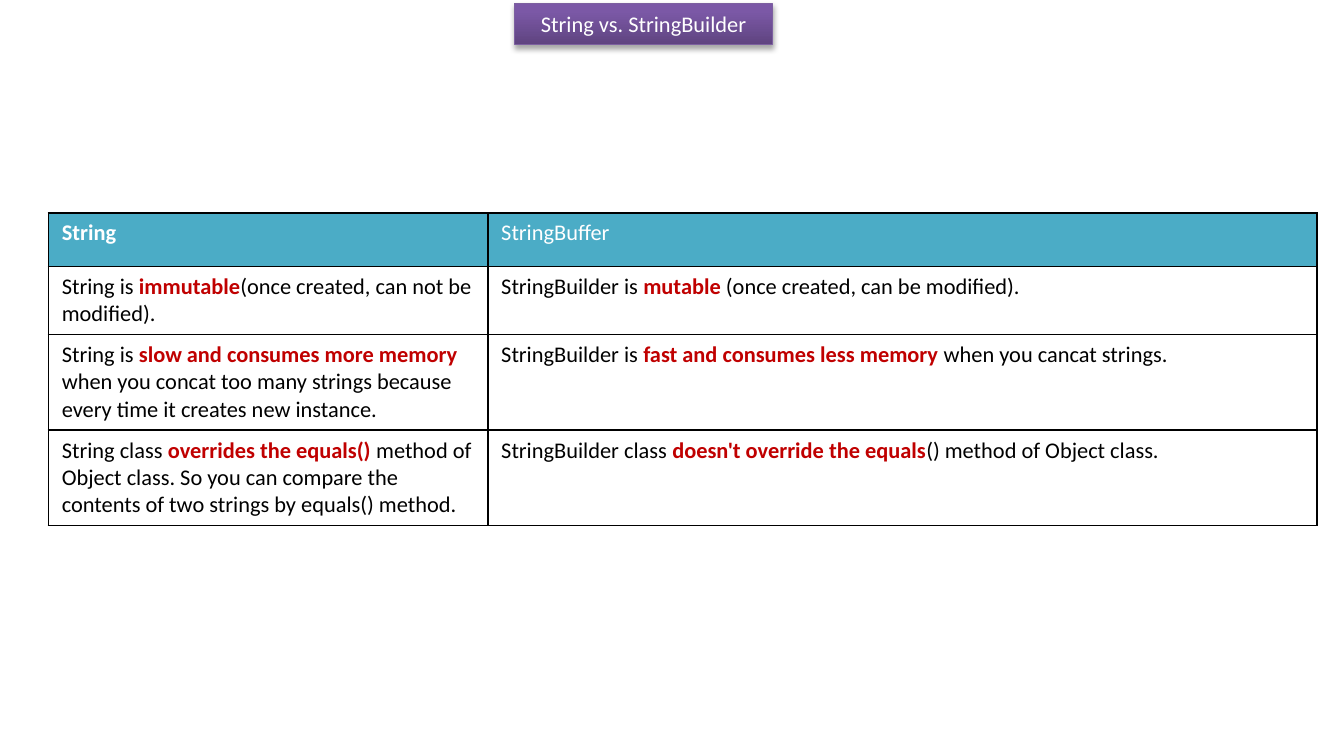
"""Build the slide that compares String with StringBuilder."""
from dataclasses import dataclass

from lxml import etree
from pptx import Presentation
from pptx.dml.color import RGBColor
from pptx.enum.shapes import MSO_SHAPE
from pptx.enum.text import MSO_ANCHOR, PP_ALIGN
from pptx.oxml.ns import qn
from pptx.util import Inches, Pt

RECT = MSO_SHAPE.RECTANGLE
MIDDLE = MSO_ANCHOR.MIDDLE
LEFT, CENTER = PP_ALIGN.LEFT, PP_ALIGN.CENTER
WIDE, HIGH = 10, 5.5
FONT, SIZE = "Calibri", 12
WHITE, BLACK, RED, TEAL = "FFFFFF", "000000", "C00000", "4BACC6"
EDGE, DARK, LIGHT = "7D60A0", "5F4480", "7B58A6"
COLS = (3.27, 6.17)


@dataclass
class Row:
    """Texts and look of one table row; asterisks enclose stressed words."""
    cells: tuple
    high: float
    color: str = BLACK
    stress: str = RED
    fill: str = ""


ROWS = (
    Row(("*String*", "StringBuffer"), 0.4, WHITE, WHITE, TEAL),
    Row(("String is *immutable*(once created, can not be modified).",
         "StringBuilder is *mutable *(once created, can be modified)."), 0.5),
    Row(("String is *slow and consumes more memory*\n"
         "when you concat too many strings because\n"
         "every time it creates new instance.",
         "StringBuilder is *fast and consumes less memory *when you cancat strings."), 0.7),
    Row(("String class *overrides the equals() *method of Object class. "
         "So you can compare the contents of two strings by equals() method.",
         "StringBuilder class *doesn't override the equals*() method of Object class."), 0.7),
)


def paint(code: str) -> RGBColor:
    """Turn a hex string into a colour."""
    return RGBColor.from_string(code)


def write(frame, text: str, *, color: str = BLACK, stress: str = RED, align=LEFT) -> None:
    """Fill a text frame, with bold stress between asterisks."""
    for i, line in enumerate(text.split("\n")):
        para = frame.paragraphs[0] if i == 0 else frame.add_paragraph()
        para.alignment = align
        for j, part in enumerate(line.split("*")):
            if not part:
                continue
            run = para.add_run()
            run.text = part
            bold = j % 2 == 1
            run.font.name, run.font.size, run.font.bold = FONT, Pt(SIZE), bold
            run.font.color.rgb = paint(stress if bold else color)


def shade(shape) -> None:
    """Cast a soft shadow straight down."""
    shape.shadow.inherit = False
    effect = shape._element.spPr.find(qn("a:effectLst"))
    outer = etree.SubElement(effect, qn("a:outerShdw"), blurRad=str(Pt(3.1)),
                             dist=str(Pt(1.8)), dir="5400000", rotWithShape="0")
    tone = etree.SubElement(outer, qn("a:srgbClr"), val=BLACK)
    etree.SubElement(tone, qn("a:alpha"), val="35000")


def frame_cell(cell) -> None:
    """Draw a thin black line on each side of a cell."""
    props = cell._tc.get_or_add_tcPr()
    for side in "LRTB":
        line = etree.SubElement(props, qn(f"a:ln{side}"), w=str(Pt(1)))
        fill = etree.SubElement(line, qn("a:solidFill"))
        etree.SubElement(fill, qn("a:srgbClr"), val=BLACK)


def add_title(slide, text: str) -> None:
    """Add the purple title bar at the top."""
    bar = slide.shapes.add_shape(RECT, Inches(0.383 * WIDE), Inches(0.005 * HIGH),
                                 Inches(0.192 * WIDE), Inches(0.055 * HIGH))
    bar.fill.gradient()
    bar.fill.gradient_angle = 90
    for stop, code, place in zip(bar.fill.gradient_stops, (DARK, LIGHT), (0, 0.8)):
        stop.color.rgb, stop.position = paint(code), place
    bar.line.color.rgb, bar.line.width = paint(EDGE), Pt(0.75)
    shade(bar)
    bar.text_frame.word_wrap = False
    bar.text_frame.vertical_anchor = MIDDLE
    write(bar.text_frame, text, color=WHITE, align=CENTER)


def add_grid(slide, rows: tuple) -> None:
    """Add the comparison table."""
    grid = slide.shapes.add_table(len(rows), len(COLS), Inches(0.036 * WIDE), Inches(0.288 * HIGH),
                                  Inches(sum(COLS)), Inches(sum(row.high for row in rows))).table
    grid.first_row = grid.horz_banding = False
    for col, wide in zip(grid.columns, COLS):
        col.width = Inches(wide)
    for line, row in zip(grid.rows, rows):
        line.height = Inches(row.high)
        for cell, text in zip(line.cells, row.cells):
            frame_cell(cell)
            if row.fill:
                cell.fill.solid()
                cell.fill.fore_color.rgb = paint(row.fill)
            else:
                cell.fill.background()
            write(cell.text_frame, text, color=row.color, stress=row.stress)


def main() -> None:
    """Build and save the slide."""
    deck = Presentation()
    deck.slide_width, deck.slide_height = Inches(WIDE), Inches(HIGH)
    slide = deck.slides.add_slide(deck.slide_layouts[6])
    add_title(slide, "String vs. StringBuilder")
    add_grid(slide, ROWS)
    deck.save("out.pptx")


if __name__ == "__main__":
    main()
